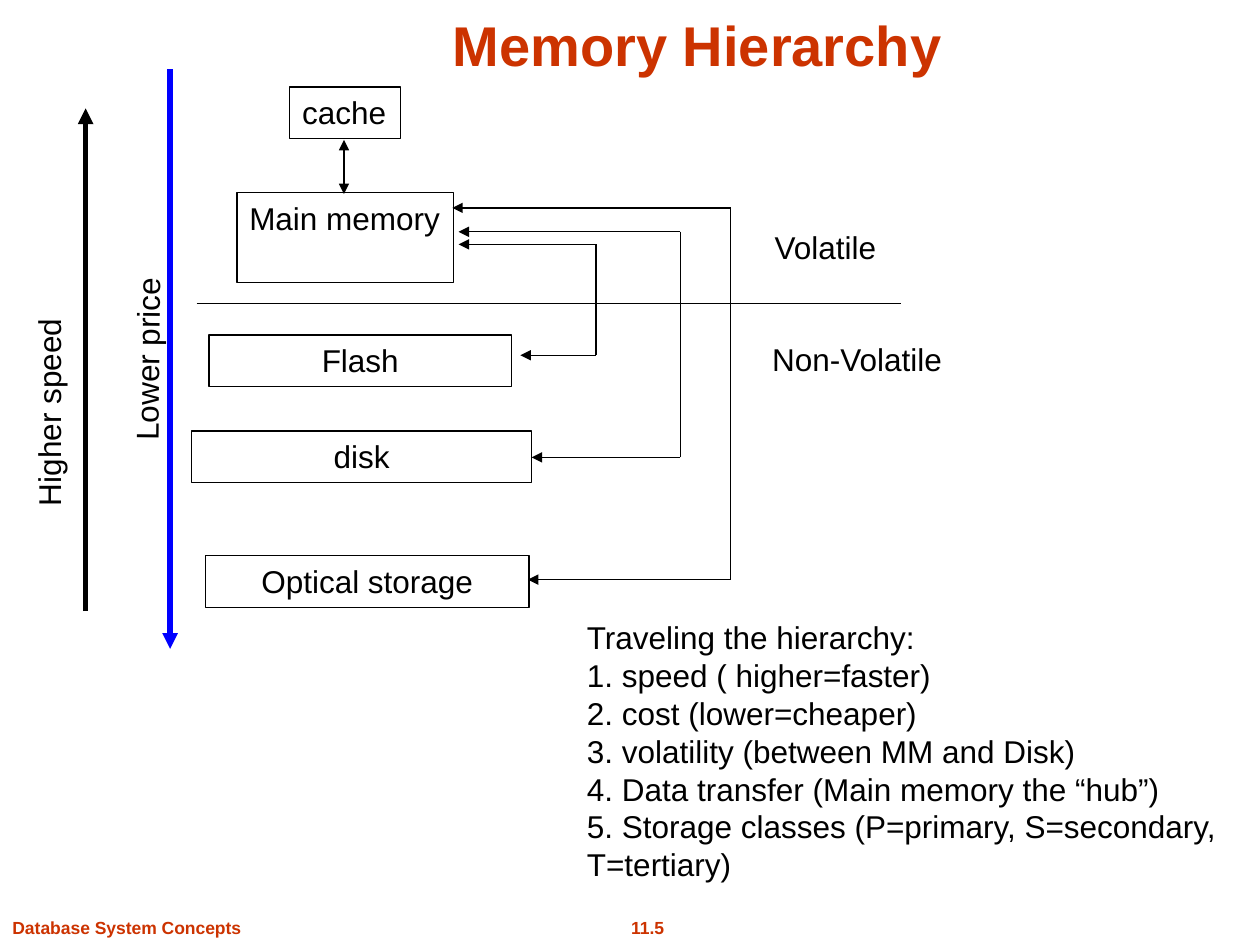
from pptx import Presentation
from pptx.dml.color import RGBColor
from pptx.enum.shapes import MSO_CONNECTOR, MSO_SHAPE
from pptx.enum.text import MSO_ANCHOR, MSO_AUTO_SIZE, PP_ALIGN
from pptx.oxml.ns import qn
from pptx.util import Inches, Pt
from lxml import etree

LEFT, MID = PP_ALIGN.LEFT, PP_ALIGN.CENTER
TOP, LOW = MSO_ANCHOR.TOP, MSO_ANCHOR.BOTTOM
FIXED = MSO_AUTO_SIZE.NONE
RECT = MSO_SHAPE.RECTANGLE
LINE = MSO_CONNECTOR.STRAIGHT
INK = {"black": "000000", "red": "CC3300", "blue": "0000FF"}


class Page:
    font = "Arial"
    size = 18
    thin = 0.75

    def __init__(self, deck):
        self.slide = deck.slides.add_slide(deck.slide_layouts[5])
        self.shapes = self.slide.shapes

    def color(self, name):
        return RGBColor.from_string(INK[name])

    def fill_text(self, shape, lines, align=LEFT, size=size, ink="black",
                  bold=False, wrap=False, anchor=TOP):
        frame = shape.text_frame
        frame.auto_size = FIXED
        frame.word_wrap = wrap
        frame.vertical_anchor = anchor
        for i, line in enumerate(lines):
            para = frame.add_paragraph() if i else frame.paragraphs[0]
            para.alignment = align
            run = para.add_run()
            run.text = line
            run.font.name = self.font
            run.font.size = Pt(size)
            run.font.bold = bold
            run.font.color.rgb = self.color(ink)

    def title(self, text, x, y, w, h):
        shape = self.shapes.title
        shape.left, shape.top = Inches(x), Inches(y)
        shape.width, shape.height = Inches(w), Inches(h)
        self.fill_text(shape, [text], MID, 32, "red", True, True, LOW)

    def text(self, lines, x, y, w, h, turn=0, **style):
        shape = self.shapes.add_textbox(Inches(x), Inches(y), Inches(w), Inches(h))
        shape.rotation = turn
        self.fill_text(shape, lines, **style)

    def box(self, text, x, y, w, h, align=MID):
        shape = self.shapes.add_shape(RECT, Inches(x), Inches(y), Inches(w), Inches(h))
        shape.shadow.inherit = False
        shape.fill.background()
        shape.line.color.rgb = self.color("black")
        shape.line.width = Pt(self.thin)
        self.fill_text(shape, [text], align)

    def line(self, x1, y1, x2, y2, ends=(), ink="black", width=thin):
        wire = self.shapes.add_connector(LINE, Inches(x1), Inches(y1), Inches(x2), Inches(y2))
        wire.line.color.rgb = self.color(ink)
        wire.line.width = Pt(width)
        props = wire.element.spPr
        stroke = props.find(qn("a:ln"))
        for end in ends:
            etree.SubElement(stroke, qn("a:" + end), type="triangle")
        etree.SubElement(props, qn("a:effectLst"))

    def route(self, rail, top, low, start, end):
        self.line(rail, top, rail, low)
        self.line(rail, top, start, top, ["tailEnd"])
        self.line(rail, low, end, low, ["tailEnd"])


deck = Presentation()
deck.slide_width, deck.slide_height = Inches(10), Inches(7.5)
page = Page(deck)

page.title("Memory Hierarchy", 1.12, 0, 8.83, 0.67)
page.text(["11.5"], 4.86, 7.23, 0.56, 0.27, align=MID, size=10, ink="red", bold=True)
page.text(["Database System Concepts"], 0, 7.23, 2.02, 0.27, size=10, ink="red", bold=True)

page.box("cache", 2.3, 0.69, 0.88, 0.41, LEFT)
page.box("Main memory", 1.88, 1.53, 1.72, 0.71, LEFT)
for name, x, y, w in [("Flash", 1.66, 2.66, 2.4), ("disk", 1.52, 3.42, 2.7),
                      ("Optical storage", 1.63, 4.41, 2.57)]:
    page.box(name, x, y, w, 0.41)

page.line(0.68, 4.85, 0.68, 0.86, ["tailEnd"], width=3)
page.text(["Higher speed"], -0.77, 2.76, 2.31, 0.4, 270, wrap=True)
page.line(1.35, 0.55, 1.35, 5.15, ["tailEnd"], "blue", 3)
page.text(["Lower price"], 0.07, 2.65, 2.19, 0.4, 270.5, align=MID, wrap=True)

page.line(2.73, 1.11, 2.73, 1.54, ["headEnd", "tailEnd"])
for rail, top, low, start, end in [(4.73, 1.94, 2.82, 3.64, 4.13),
                                   (5.4, 1.84, 3.63, 3.64, 4.22),
                                   (5.8, 1.65, 4.6, 3.59, 4.19)]:
    page.route(rail, top, low, start, end)

page.line(1.56, 2.41, 7.15, 2.41)
page.text(["Volatile"], 6.05, 1.76, 1.02, 0.4)
page.text(["Non-Volatile"], 6.03, 2.65, 1.56, 0.4)
page.text([
    "Traveling the hierarchy:",
    "1. speed ( higher=faster)",
    "2. cost (lower=cheaper)",
    "3. volatility (between MM and Disk)",
    "4. Data transfer (Main memory the “hub”)",
    "5. Storage classes (P=primary, S=secondary,",
    "T=tertiary)",
], 4.56, 4.86, 5.22, 2.2)

deck.save("out.pptx")
